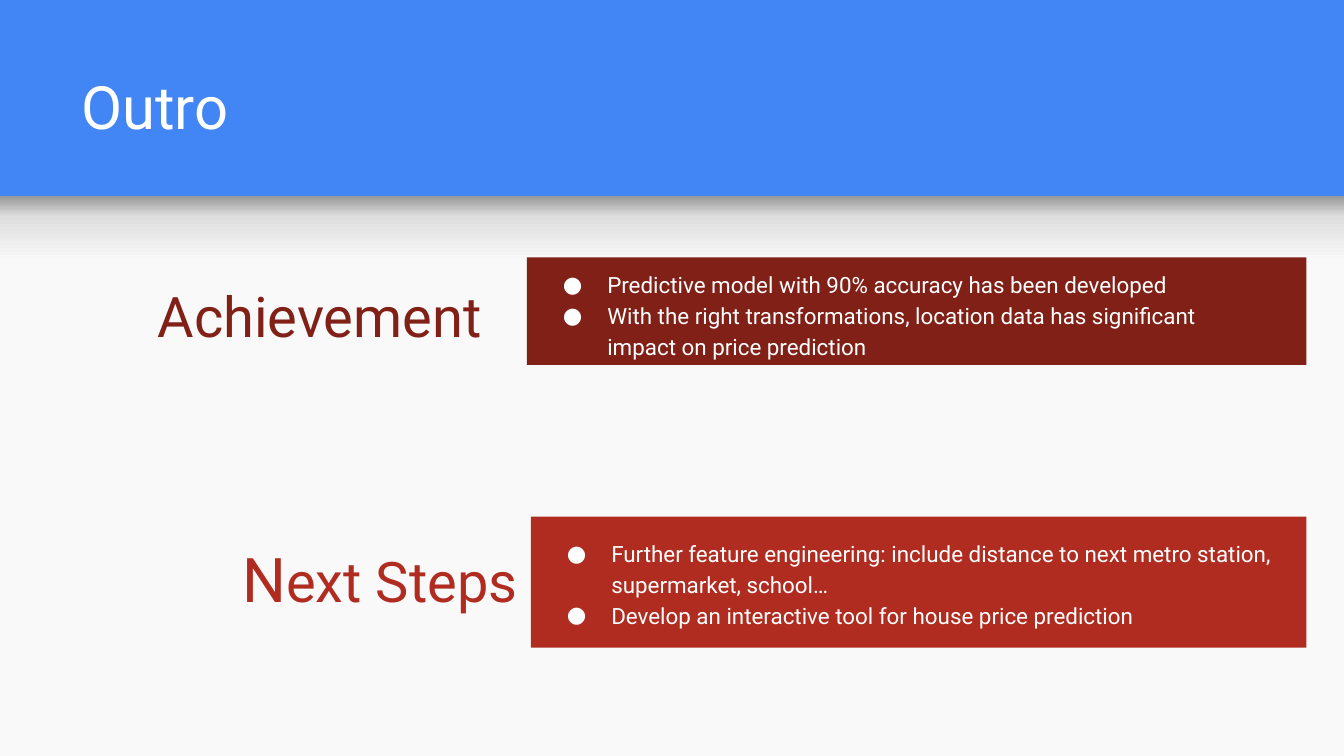
import pptx
import pptx.dml.color
import pptx.enum.shapes
import pptx.enum.text
import pptx.oxml
import pptx.oxml.ns
import pptx.util
import lxml.etree

RGBColor = pptx.dml.color.RGBColor
BLUE = RGBColor(0x42, 0x85, 0xF4)
PAPER = RGBColor(0xF9, 0xF9, 0xF9)
PALE_GRAY = RGBColor(0xDE, 0xDE, 0xDE)
GRAY = RGBColor(0x99, 0x99, 0x99)
WHITE = RGBColor(0xFF, 0xFF, 0xFF)
MAROON = RGBColor(0x80, 0x20, 0x17)
RED = RGBColor(0xB0, 0x2C, 0x20)

EMU_PER_PX = 4572  # 200 px to the inch
SLIDE_WIDTH, SLIDE_HEIGHT = 2000, 1125
BANNER_HEIGHT = 292
BODY_TOP = 368
ANCHOR = pptx.enum.text.MSO_ANCHOR
ALIGN = pptx.enum.text.PP_ALIGN


def px(*lengths):
    return [pptx.util.Emu(length * EMU_PER_PX) for length in lengths]


class SlideBuilder:
    font = "Roboto"
    body_size = 12

    def __init__(self, slide):
        self.slide = slide

    def background(self, color):
        fill = self.slide.background.fill
        fill.solid()
        fill.fore_color.rgb = color

    def format_run(self, run, size, color):
        run.font.name = self.font
        run.font.size = pptx.util.Pt(size)
        run.font.color.rgb = color

    def frame(self, shape, anchor, margin_x, margin_y):
        frame = shape.text_frame
        frame.word_wrap = True
        frame.auto_size = pptx.enum.text.MSO_AUTO_SIZE.NONE
        frame.vertical_anchor = anchor
        frame.margin_left, frame.margin_right = px(margin_x, margin_x)
        frame.margin_top, frame.margin_bottom = px(margin_y, margin_y)
        return frame

    def title(self, box, text, size, color):
        shape = self.slide.shapes.title
        shape.left, shape.top, shape.width, shape.height = px(*box)
        frame = self.frame(shape, ANCHOR.BOTTOM, 20, 20)
        frame.text = text
        paragraph = frame.paragraphs[0]
        paragraph.alignment = ALIGN.LEFT
        self.format_run(paragraph.runs[0], size, color)

    def rectangle(self, box, color):
        shape = self.slide.shapes.add_shape(
            pptx.enum.shapes.MSO_SHAPE.RECTANGLE, *px(*box))
        shape.shadow.inherit = False
        shape.line.fill.background()
        shape.fill.solid()
        shape.fill.fore_color.rgb = color
        return shape

    def fade(self, box, stops):
        """Draw a rectangle shaded downwards through (percent, color) stops."""
        shape = self.rectangle(box, stops[0][1])
        shape.fill.gradient()
        shape.fill.gradient_angle = 270
        qn = pptx.oxml.ns.qn
        stop_list = shape.element.spPr.find(".//" + qn("a:gsLst"))
        for old_stop in list(stop_list):
            stop_list.remove(old_stop)
        for percent, color in stops:
            stop = lxml.etree.SubElement(stop_list, qn("a:gs"), pos=str(percent * 1000))
            lxml.etree.SubElement(stop, qn("a:srgbClr"), val=str(color))

    def text_box(self, box):
        return self.frame(self.slide.shapes.add_textbox(*px(*box)), ANCHOR.MIDDLE, 20, 10)

    def label(self, box, pieces, color):
        """Write right-aligned (text, size) pieces on one line."""
        paragraph = self.text_box(box).paragraphs[0]
        paragraph.alignment = ALIGN.RIGHT
        paragraph.line_spacing = 0.9
        for text, size in pieces:
            run = paragraph.add_run()
            run.text = text
            self.format_run(run, size, color)

    def bullets(self, box, items, color):
        frame = self.text_box(box)
        frame.text = "\n".join(items)
        indent, hanging = px(100, -66)
        qn = pptx.oxml.ns.qn
        for paragraph in frame.paragraphs:
            paragraph.alignment = ALIGN.LEFT
            paragraph.line_spacing = 1.15
            self.format_run(paragraph.runs[0], self.body_size, color)
            properties = paragraph._p.get_or_add_pPr()
            properties.set("marL", str(indent))
            properties.set("indent", str(hanging))
            bullet_color = lxml.etree.SubElement(properties, qn("a:buClr"))
            lxml.etree.SubElement(bullet_color, qn("a:srgbClr"), val=str(color))
            lxml.etree.SubElement(properties, qn("a:buFont"), typeface=self.font)
            lxml.etree.SubElement(properties, qn("a:buChar"), char="●")


def main():
    presentation = pptx.Presentation()
    presentation.slide_width, presentation.slide_height = px(SLIDE_WIDTH, SLIDE_HEIGHT)
    title_only = presentation.slide_layouts[5]
    builder = SlideBuilder(presentation.slides.add_slide(title_only))

    builder.background(BLUE)
    builder.rectangle((0, BODY_TOP, SLIDE_WIDTH, SLIDE_HEIGHT - BODY_TOP), PAPER)
    builder.fade((0, BANNER_HEIGHT, SLIDE_WIDTH, 154),
                 [(0, GRAY), (20, PALE_GRAY), (64, PAPER), (100, PAPER)])
    builder.title((101, 62, 1798, 168), "Outro", 32, WHITE)

    next_steps_panel = (790, 769, 1154, 195)
    sections = [
        (MAROON, (70, 394, 697, 138), [("Achievement", 30), (" ", 44)],
         (784, 383, 1160, 160), (784, 390, 1058, 154),
         ["Predictive model with 90% accuracy has been developed",
          "With the right transformations, location data has significant "
          "impact on price prediction"]),
        (RED, (58, 769, 732, 195), [("N", 33), ("ext Steps", 30)],
         next_steps_panel, next_steps_panel,
         ["Further feature engineering: include distance to next metro station, "
          "supermarket, school…",
          "Develop an interactive tool for house price prediction"]),
    ]
    for color, label_box, pieces, panel_box, bullet_box, items in sections:
        builder.label(label_box, pieces, color)
        builder.rectangle(panel_box, color)
        builder.bullets(bullet_box, items, WHITE)

    presentation.save("out.pptx")


if __name__ == "__main__":
    main()
